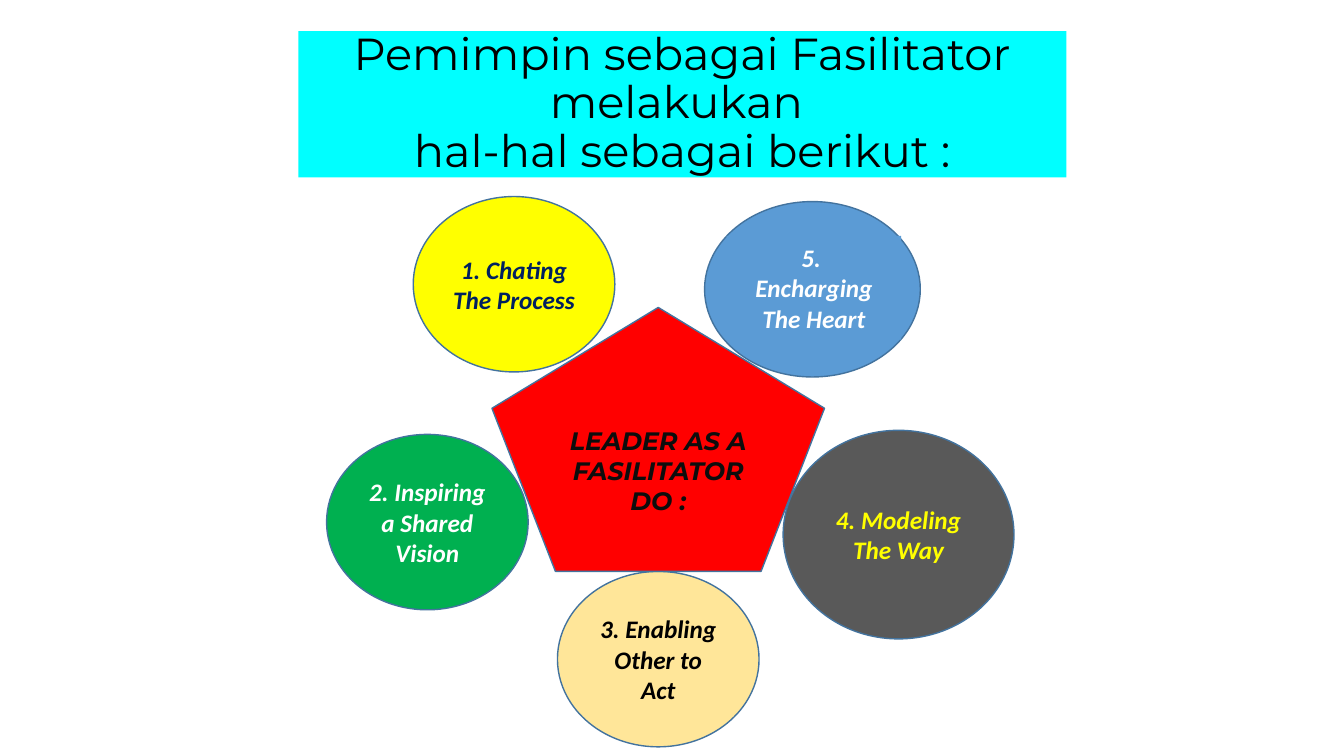
"""Build a slide showing five facilitator practices around a central pentagon."""
from dataclasses import dataclass
from typing import Optional

from pptx import Presentation
from pptx.dml.color import RGBColor
from pptx.enum import shapes, text
from pptx.slide import Slide
from pptx.text.text import TextFrame
from pptx.util import Pt

BLACK = RGBColor(0x00, 0x00, 0x00)
INK = RGBColor(0x0D, 0x0D, 0x0D)
WHITE = RGBColor(0xFF, 0xFF, 0xFF)
YELLOW = RGBColor(0xFF, 0xFF, 0x00)
NAVY = RGBColor(0x00, 0x20, 0x60)
GREEN = RGBColor(0x00, 0xB0, 0x50)
CREAM = RGBColor(0xFF, 0xE6, 0x99)
GRAY = RGBColor(0x59, 0x59, 0x59)
BLUE = RGBColor(0x5B, 0x9B, 0xD5)
RED = RGBColor(0xFF, 0x00, 0x00)
CYAN = RGBColor(0x00, 0xFF, 0xFF)
OUTLINE = RGBColor(0x43, 0x73, 0x9E)

OVAL = shapes.MSO_SHAPE.OVAL
PENTAGON = shapes.MSO_SHAPE.REGULAR_PENTAGON
RECTANGLE = shapes.MSO_SHAPE.RECTANGLE


@dataclass(frozen=True)
class Figure:
    """A filled shape with its place in points and its wording."""

    left: float
    top: float
    fill: RGBColor
    wording: str = ""
    color: RGBColor = WHITE
    width: float = 144
    height: float = 125.3
    kind: shapes.MSO_SHAPE = OVAL
    font: str = "Calibri"
    outline: Optional[RGBColor] = OUTLINE


FIGURES = (
    Figure(295.2, 140.4, YELLOW, "1. Chating The Process", NAVY),
    Figure(233.3, 310.3, GREEN, "2. Inspiring a Shared Vision"),
    Figure(398.2, 408.2, CREAM, "3. Enabling Other to Act", BLACK),
    Figure(559.4, 307.4, GRAY, "4. Modeling The Way", YELLOW, 164.9, 149),
    Figure(503.3, 144, BLUE, width=154.1),
    Figure(351.4, 219.6, RED, "LEADER AS A FASILITATOR DO :", INK,
           237.6, 188.6, PENTAGON, "Montserrat"),
    Figure(519.1, 168.5, BLUE, "5. \nEncharging The Heart", WHITE,
           124.6, 74.2, RECTANGLE, outline=None),
)


def write(frame: TextFrame, wording: str, font: str, size: float,
          color: RGBColor, strong: bool) -> None:
    """Fill a frame with centred text in one style."""
    frame.text = wording
    frame.word_wrap = True
    frame.vertical_anchor = text.MSO_ANCHOR.MIDDLE
    for para in frame.paragraphs:
        para.alignment = text.PP_ALIGN.CENTER
        for span in para.runs:
            span.font.name = font
            span.font.size = Pt(size)
            span.font.bold = span.font.italic = strong
            span.font.color.rgb = color


def draw_figure(page: Slide, figure: Figure) -> None:
    """Draw one figure on the page."""
    box = page.shapes.add_shape(figure.kind, Pt(figure.left), Pt(figure.top),
                                Pt(figure.width), Pt(figure.height))
    box.shadow.inherit = False
    box.fill.solid()
    box.fill.fore_color.rgb = figure.fill
    if figure.outline is None:
        box.line.fill.background()
    else:
        box.line.color.rgb = figure.outline
        box.line.width = Pt(1)
    if figure.wording:
        write(box.text_frame, figure.wording, figure.font, 18, figure.color, True)


def draw_title(page: Slide) -> None:
    """Place and format the title."""
    title = page.shapes.title
    title.left, title.top = Pt(213.1), Pt(22.3)
    title.width, title.height = Pt(548.6), Pt(104.4)
    title.fill.solid()
    title.fill.fore_color.rgb = CYAN
    frame = title.text_frame
    write(frame, "Pemimpin sebagai Fasilitator melakukan \vhal-hal sebagai berikut :",
          "Montserrat", 32, BLACK, False)
    frame.auto_size = text.MSO_AUTO_SIZE.NONE
    frame.paragraphs[0].line_spacing = 0.9


def main() -> None:
    """Build and save the deck."""
    deck = Presentation()
    deck.slide_width, deck.slide_height = Pt(960), Pt(540)
    page = deck.slides.add_slide(deck.slide_layouts.get_by_name("Title Only"))
    draw_title(page)
    for figure in FIGURES:
        draw_figure(page, figure)
    deck.save("out.pptx")


main()
